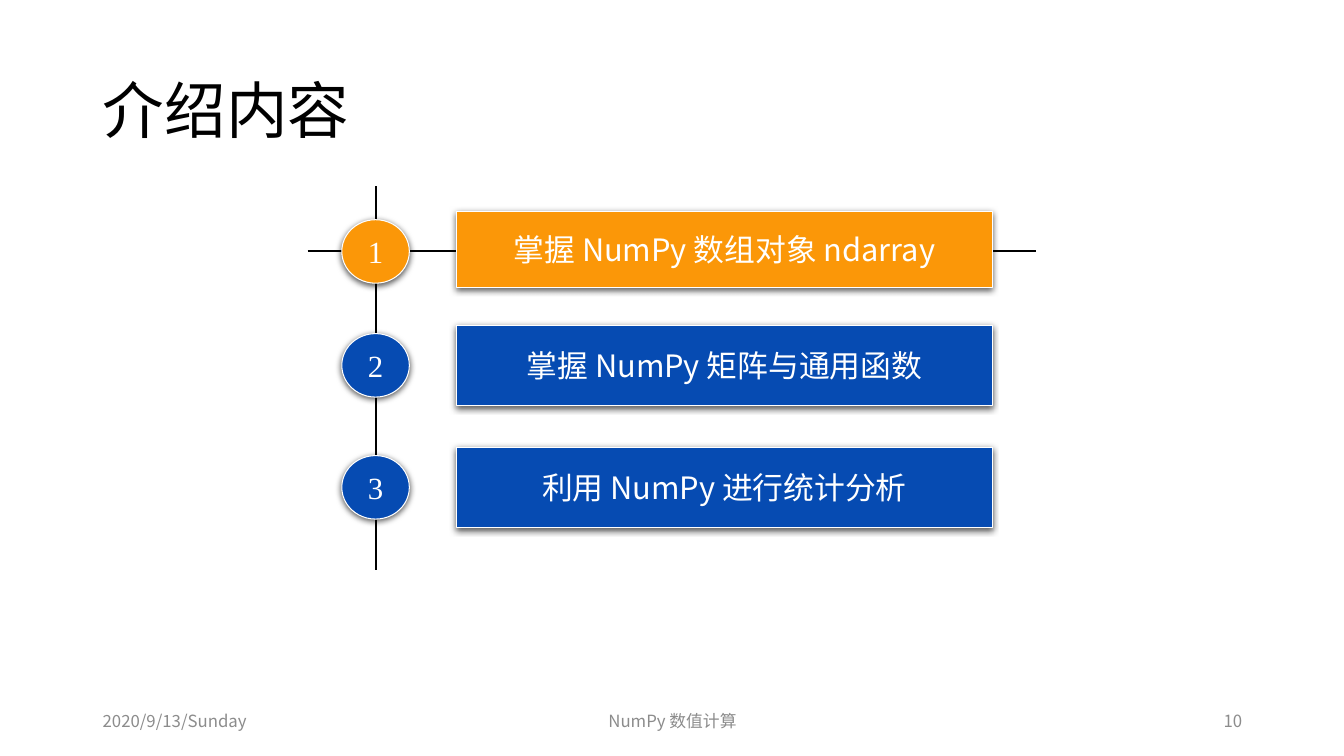
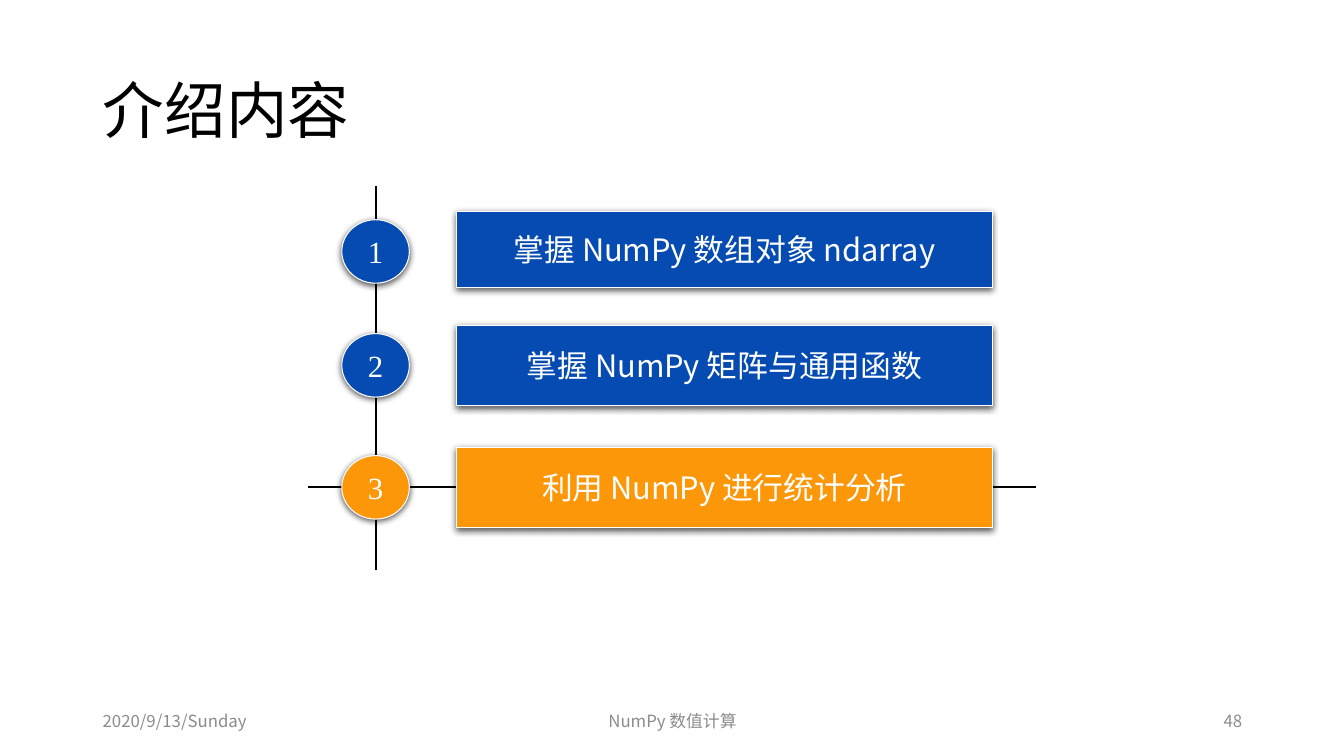
from lxml import etree
from pptx import Presentation
from pptx import util as u
from pptx.dml.color import RGBColor
from pptx.enum import shapes, text
from pptx.oxml.ns import qn

SANS, SERIF = "Noto Sans CJK SC", "Times New Roman"
BLACK, WHITE, GREY = "000000", "FFFFFF", "8C8C8C"
BLUE, ORANGE = "064BB2", "FB9708"
LEFT, CENTER, RIGHT = text.PP_ALIGN.LEFT, text.PP_ALIGN.CENTER, text.PP_ALIGN.RIGHT

# Topic, top and height of each bar
TOPICS = [
    ("掌握 NumPy 数组对象 ndarray", 2.1, 0.75),
    ("掌握 NumPy 矩阵与通用函数", 3.23, 0.79),
    ("利用 NumPy 进行统计分析", 4.44, 0.79),
]
BADGE_OFFSET, BADGE_HEIGHT = 0.08, 0.63


def color(value):
    return RGBColor.from_string(value)


def write(box, words, size=22, font=SANS, ink=WHITE, align=CENTER, wrap=True, spacing=None):
    frame = box.text_frame
    frame.word_wrap = wrap
    frame.vertical_anchor = text.MSO_ANCHOR.MIDDLE
    para = frame.paragraphs[0]
    para.alignment = align
    para.line_spacing = spacing
    span = para.add_run()
    span.text = words
    span.font.size = u.Pt(size)
    span.font.name = font
    span.font.color.rgb = color(ink)
    # East Asian characters take their font from a separate element
    latin = span.font._element.find(qn("a:latin"))
    east = etree.Element(qn("a:ea"), typeface=font)
    latin.addnext(east)


class Slides:
    """The deck's style and the page being drawn."""

    def __init__(self):
        self.deck = Presentation()
        self.deck.slide_width = u.Inches(13.33)
        self.deck.slide_height = u.Inches(7.5)

    def start_page(self, title, number):
        self.page = self.deck.slides.add_slide(self.deck.slide_layouts[5])
        box = self.page.shapes.title
        box.left, box.top = u.Inches(0.92), u.Inches(0.4)
        box.width, box.height = u.Inches(11.5), u.Inches(1.45)
        write(box, title, size=44, ink=BLACK, align=LEFT, spacing=0.9)
        self.footer("2020/9/13/Sunday", 0.92, 3, LEFT)
        self.footer("NumPy 数值计算", 4.42, 4.5, CENTER)
        self.footer(str(number), 9.42, 3, RIGHT)
        self.group = self.page.shapes.add_group_shape().shapes

    def footer(self, words, left, width, align):
        box = self.page.shapes.add_textbox(
            u.Inches(left), u.Inches(6.95), u.Inches(width), u.Inches(0.4))
        write(box, words, size=12, ink=GREY, align=align)

    def line(self, x1, y1, x2, y2):
        line = self.group.add_connector(
            shapes.MSO_CONNECTOR.STRAIGHT,
            u.Inches(x1), u.Inches(y1), u.Inches(x2), u.Inches(y2))
        line.line.color.rgb = color(BLACK)
        line.line.width = u.Pt(1)
        etree.SubElement(line._element.spPr, qn("a:effectLst"))

    def shape(self, kind, left, top, width, height, fill, words, font=SANS):
        shape = self.group.add_shape(
            kind, u.Inches(left), u.Inches(top), u.Inches(width), u.Inches(height))
        shape.fill.solid()
        shape.fill.fore_color.rgb = color(fill)
        shape.line.color.rgb = color(WHITE)
        shape.line.width = u.Pt(0.75)
        self.drop_shadow(shape)
        write(shape, words, font=font, wrap=False)

    def drop_shadow(self, shape):
        shape.shadow.inherit = False
        effects = shape._element.spPr.find(qn("a:effectLst"))
        shadow = etree.SubElement(
            effects, qn("a:outerShdw"), blurRad=str(u.Pt(4.5)), dist=str(u.Pt(1.5)),
            dir="5400000", algn="ctr", rotWithShape="0")
        tint = etree.SubElement(shadow, qn("a:srgbClr"), val=BLACK)
        etree.SubElement(tint, qn("a:alpha"), val="63000")

    def agenda(self, current):
        # Axis, and the line through the current topic
        self.line(3.73, 1.85, 3.73, 5.65)
        middle = TOPICS[current - 1][1] + BADGE_OFFSET + 0.31
        self.line(3.05, middle, 10.28, middle)
        # Numbered badge and bar for each topic
        for number, (topic, top, height) in enumerate(TOPICS, 1):
            fill = ORANGE if number == current else BLUE
            self.shape(shapes.MSO_SHAPE.OVAL, 3.39, top + BADGE_OFFSET,
                       0.67, BADGE_HEIGHT, fill, str(number), font=SERIF)
            self.shape(shapes.MSO_SHAPE.ACTION_BUTTON_CUSTOM, 4.53, top,
                       5.31, height, fill, topic)


def main():
    slides = Slides()
    for number, current in [(10, 1), (48, 3)]:
        slides.start_page("介绍内容", number)
        slides.agenda(current)
    slides.deck.save("out.pptx")


if __name__ == "__main__":
    main()
